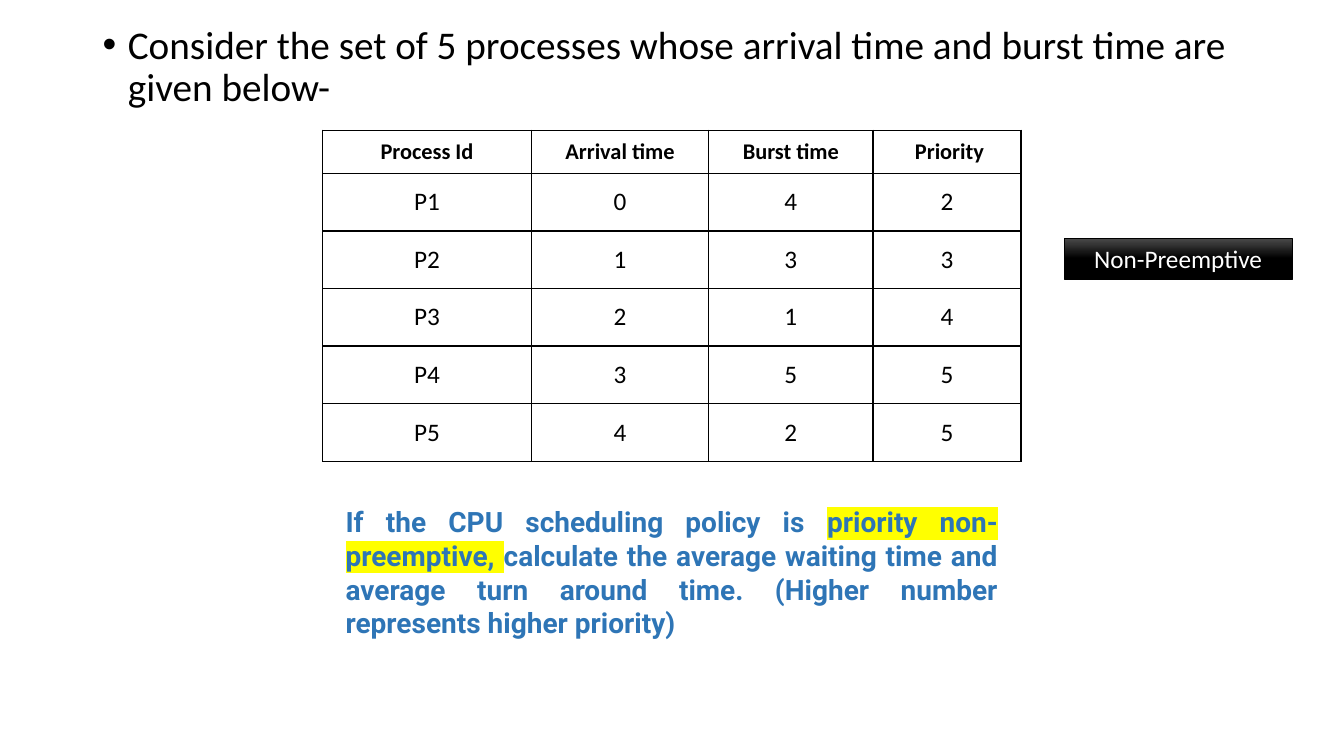
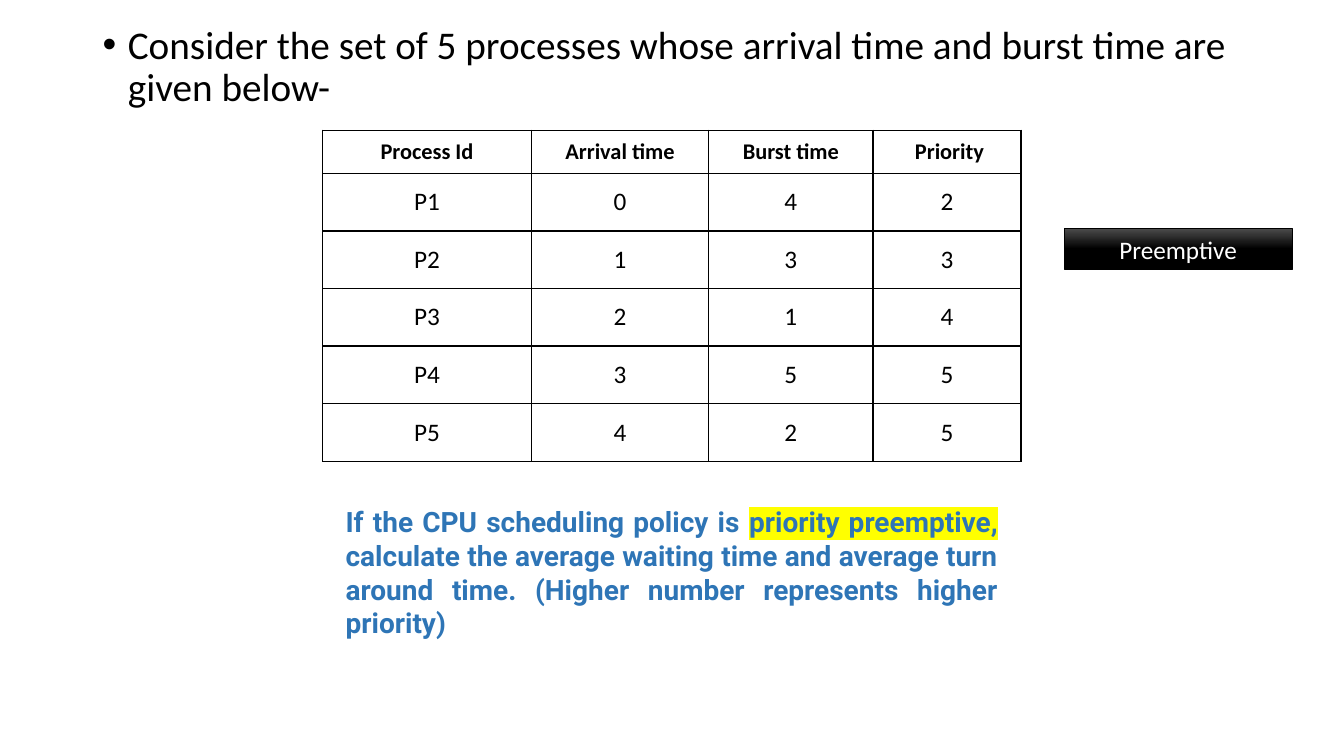
from copy import deepcopy

from lxml.etree import SubElement
from pptx import Presentation
from pptx.dml.color import RGBColor
from pptx.enum.shapes import MSO_SHAPE as Shape
from pptx.enum.text import MSO_ANCHOR as Anchor, MSO_AUTO_SIZE as AutoSize, PP_ALIGN as Align
from pptx.oxml.ns import qn
from pptx.util import Cm, Pt

COLORS = {
    "black": "000000",
    "white": "FFFFFF",
    "charcoal": "4B4B4B",
    "blue": "2E75B6",
    "yellow": "FFFF00",
}
HEADERS = ["Process Id", "Arrival time", "Burst time", " Priority"]
PROCESSES = [
    ["P1", "0", "4", "2"],
    ["P2", "1", "3", "3"],
    ["P3", "2", "1", "4"],
    ["P4", "3", "5", "5"],
    ["P5", "4", "2", "5"],
]
COLUMN_WIDTHS = [5.26, 4.47, 4.14, 3.73]
ROW_HEIGHTS = [1.09] + [1.45] * len(PROCESSES)
VARIANTS = [
    ("Non-Preemptive", "priority non-preemptive, ", 6.0),
    ("Preemptive", "priority preemptive, ", 5.76),
]


def write(paragraph, text, size=18, font="Calibri", color="black", bold=False,
          align=None, highlight=None):
    if align is not None:
        paragraph.alignment = align
    run = paragraph.add_run()
    run.text = text
    run.font.size = Pt(size)
    run.font.bold = bold
    run.font.color.rgb = RGBColor.from_string(COLORS[color])
    if highlight:
        marker = SubElement(run.font._element, qn("a:highlight"))
        SubElement(marker, qn("a:srgbClr"), val=COLORS[highlight])
    run.font.name = font


def draw_borders(cell):
    properties = cell._tc.get_or_add_tcPr()
    for side in ("lnL", "lnR", "lnT", "lnB"):
        border = SubElement(properties, qn(f"a:{side}"), w=str(Pt(1)))
        ink = SubElement(border, qn("a:solidFill"))
        SubElement(ink, qn("a:srgbClr"), val=COLORS["black"])


deck = Presentation()
deck.slide_width, deck.slide_height = Cm(33.87), Cm(19.05)

for policy, policy_phrase, badge_top in VARIANTS:
    slide = deck.slides.add_slide(deck.slide_layouts[1])
    unused_title = slide.shapes.title._element
    unused_title.getparent().remove(unused_title)

    intro = slide.placeholders[1]
    intro.left, intro.top, intro.width, intro.height = Cm(2.33), Cm(0.51), Cm(29.21), Cm(12.09)
    intro.text_frame.auto_size = AutoSize.NONE
    statement = intro.text_frame.paragraphs[0]
    statement.line_spacing = 0.9
    statement.space_before = Pt(10)
    bullet = statement._p.get_or_add_pPr()
    bullet.set("marL", str(Cm(0.64)))
    bullet.set("indent", str(-Cm(0.64)))
    SubElement(bullet, qn("a:buFont"), typeface="Arial")
    SubElement(bullet, qn("a:buChar"), char="•")
    write(statement, "Consider the set of 5 processes whose arrival time and burst time are given below-",
          size=28)

    schedule = slide.shapes.add_table(
        len(ROW_HEIGHTS), len(HEADERS), Cm(8.13), Cm(3.28),
        Cm(sum(COLUMN_WIDTHS)), Cm(sum(ROW_HEIGHTS))).table
    schedule.horz_banding = False
    for column, width in zip(schedule.columns, COLUMN_WIDTHS):
        column.width = Cm(width)
    for row, height, values in zip(schedule.rows, ROW_HEIGHTS, [HEADERS] + PROCESSES):
        row.height = Cm(height)
        is_header = values is HEADERS
        for cell, value in zip(row.cells, values):
            cell.margin_left = cell.margin_right = Cm(0.18)
            cell.margin_top = cell.margin_bottom = Cm(0.15)
            cell.vertical_anchor = Anchor.MIDDLE
            draw_borders(cell)
            cell.fill.background()
            write(cell.text_frame.paragraphs[0], value, size=16 if is_header else 18,
                  bold=is_header, align=Align.CENTER)

    question = slide.shapes.add_textbox(Cm(8.46), Cm(12.6), Cm(16.94), Cm(3.68)).text_frame
    question.word_wrap = True
    question.auto_size = AutoSize.SHAPE_TO_FIT_TEXT
    for phrase, highlight in [
        ("If the CPU scheduling policy is ", None),
        (policy_phrase, "yellow"),
        ("calculate the average waiting time and average turn around time. "
         "(Higher number represents higher priority)", None),
    ]:
        write(question.paragraphs[0], phrase, size=20, font="Roboto", color="blue",
              bold=True, align=Align.JUSTIFY, highlight=highlight)

    badge = slide.shapes.add_shape(Shape.RECTANGLE, Cm(26.82), Cm(badge_top), Cm(5.74), Cm(1.03))
    badge.shadow.inherit = False
    badge.fill.gradient()
    badge.fill.gradient_angle = 270
    stops = badge.fill.gradient_stops
    for stop, color, position in zip(stops, ("charcoal", "black"), (0, 0.5)):
        stop.color.rgb = RGBColor.from_string(COLORS[color])
        stop.position = position
    last_stop = deepcopy(stops[1]._gs)
    last_stop.set("pos", "100000")
    stops[1]._gs.addnext(last_stop)
    badge.line.color.rgb = RGBColor.from_string(COLORS["black"])
    badge.line.width = Pt(0.5)
    badge.text_frame.word_wrap = True
    badge.text_frame.auto_size = AutoSize.SHAPE_TO_FIT_TEXT
    write(badge.text_frame.paragraphs[0], policy, color="white", align=Align.CENTER)

deck.save("out.pptx")
